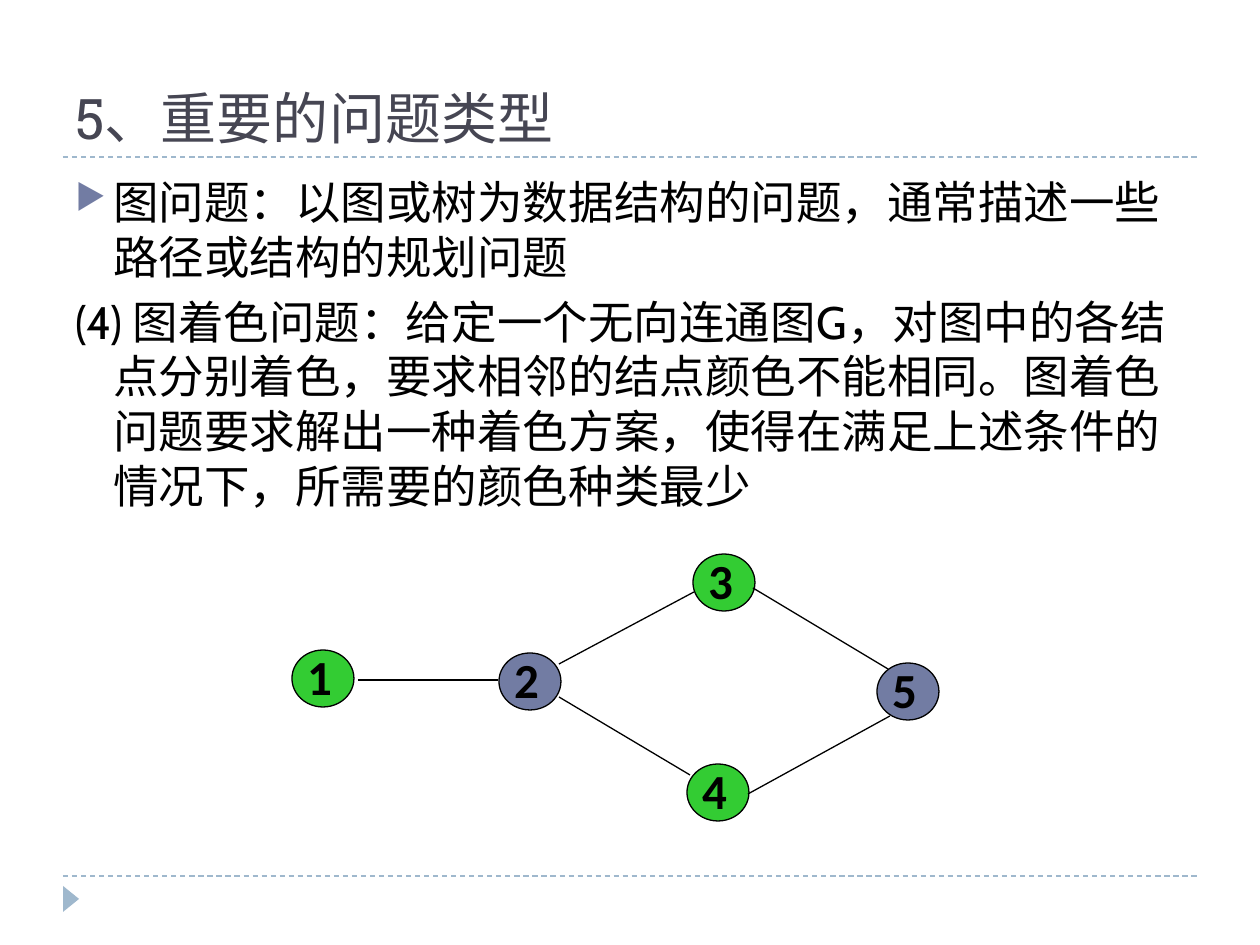
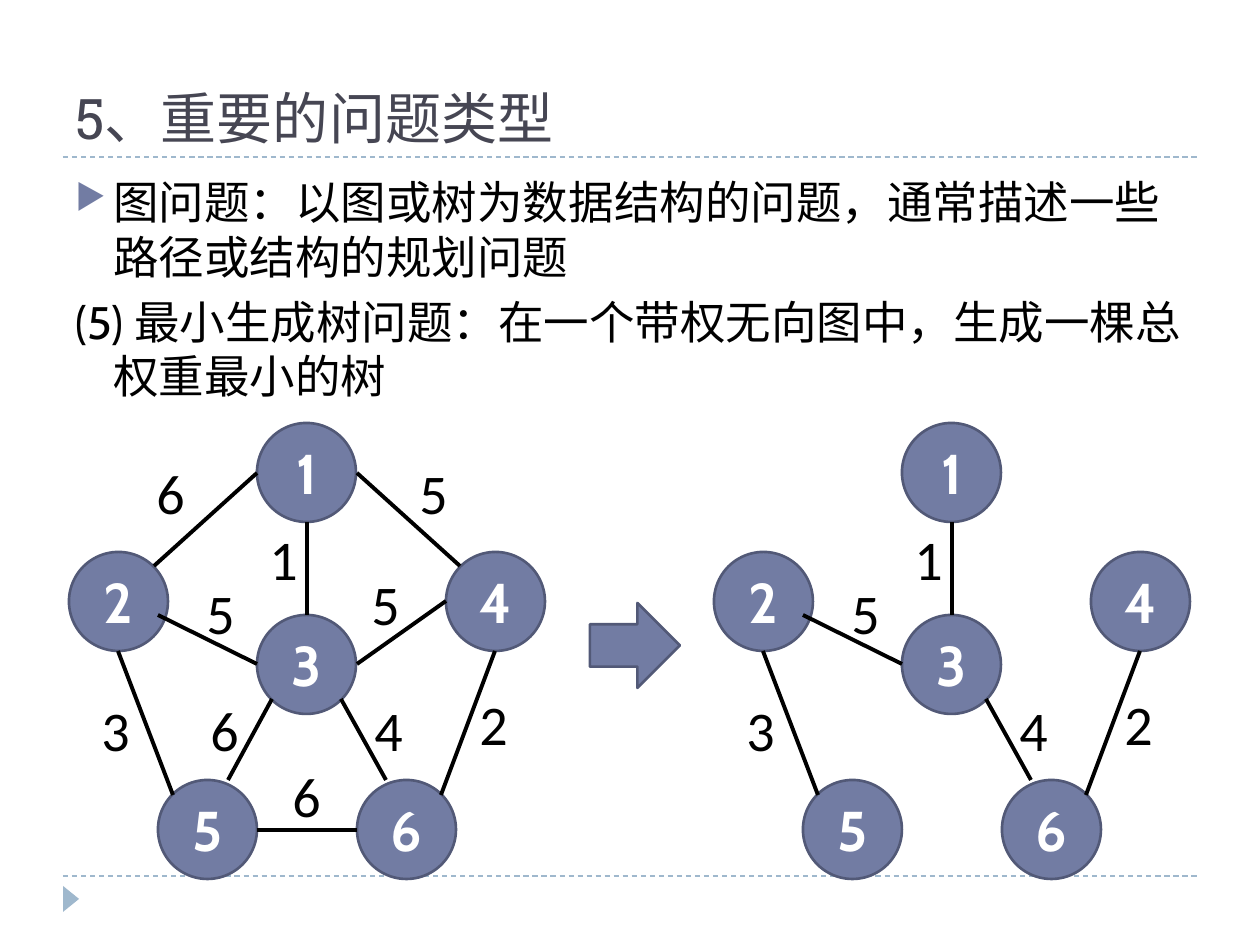
from lxml import etree
from pptx import Presentation
from pptx.dml.color import RGBColor
from pptx.enum.dml import MSO_LINE
from pptx.enum.shapes import MSO_CONNECTOR, MSO_SHAPE
from pptx.enum.text import MSO_ANCHOR, PP_ALIGN
from pptx.oxml.ns import qn
from pptx.util import Pt

PX = 914400 // 126  # EMU in one px
STRAIGHT = MSO_CONNECTOR.STRAIGHT
OVAL, TRIANGLE, RIGHT_ARROW = MSO_SHAPE.OVAL, MSO_SHAPE.ISOSCELES_TRIANGLE, MSO_SHAPE.RIGHT_ARROW
TOP, MIDDLE, BOTTOM = MSO_ANCHOR.TOP, MSO_ANCHOR.MIDDLE, MSO_ANCHOR.BOTTOM
DASH = MSO_LINE.DASH
JUSTIFY, CENTER = PP_ALIGN.JUSTIFY, PP_ALIGN.CENTER

COLORS = {
    "rule": "9FB8CD", "title": "464653", "text": "000000", "white": "FFFFFF",
    "slate": "727CA3", "slate_edge": "525977", "green": "33CC33",
}
RGB = {name: RGBColor.from_string(value) for name, value in COLORS.items()}


def draw_line(shapes, start, end, color, width):
    line = shapes.add_connector(STRAIGHT, *[v * PX for v in (*start, *end)])
    line.line.color.rgb = RGB[color]
    line.line.width = Pt(width)
    etree.SubElement(line._element.spPr, qn("a:effectLst"))
    return line


def draw_shape(shapes, kind, box, fill, edge=None, width=0.75, text="",
               size=32, font="Cabin", color="text", bold=False):
    """Draw a preset shape, or a text box when kind is None."""
    box = [v * PX for v in box]
    if kind is None:
        shape = shapes.add_textbox(*box)
    else:
        shape = shapes.add_shape(kind, *box)
        shape.shadow.inherit = False
        shape.fill.solid()
        shape.fill.fore_color.rgb = RGB[fill]
        if edge:
            shape.line.color.rgb = RGB[edge]
            shape.line.width = Pt(width)
        else:
            shape.line.fill.background()
    if text:
        shape.text_frame.text = text
        for paragraph in shape.text_frame.paragraphs:
            for run in paragraph.runs:
                run.font.size = Pt(size)
                run.font.name = font
                run.font.bold = bold
                run.font.color.rgb = RGB[color]
    return shape


prs = Presentation()
prs.slide_width, prs.slide_height = 1260 * PX, 945 * PX

# Shared frame, title and body
graph_intro = "图问题：以图或树为数据结构的问题，通常描述一些路径或结构的规划问题"
problems = [
    "(4) 图着色问题：给定一个无向连通图G，对图中的各结点分别着色，要求相邻的结点颜色不能相同。"
    "图着色问题要求解出一种着色方案，使得在满足上述条件的情况下，所需要的颜色种类最少",
    "(5) 最小生成树问题：在一个带权无向图中，生成一棵总权重最小的树",
]
for problem in problems:
    slide = prs.slides.add_slide(prs.slide_layouts[6])
    for y in (876, 157):
        draw_line(slide.shapes, (63, y), (1197, y), "rule", 0.75).line.dash_style = DASH
    draw_shape(slide.shapes, TRIANGLE, (58, 891, 26, 16), "rule").rotation = 90

    title = draw_shape(slide.shapes, None, (63, 21, 1134, 136), None,
                       text="5、重要的问题类型", font="Roboto Slab", color="title")
    title.text_frame.word_wrap = True
    title.text_frame.vertical_anchor = BOTTOM

    body = draw_shape(slide.shapes, None, (63, 168, 1134, 680), None,
                      text=graph_intro + "\n" + problem, size=26)
    body.text_frame.word_wrap = True
    intro, description = body.text_frame.paragraphs
    description.space_before = Pt(6)
    for paragraph in (intro, description):
        properties = paragraph._p.get_or_add_pPr()
        properties.set("marL", str(38 * PX))
        properties.set("indent", str(-38 * PX))
    properties = intro._p.get_or_add_pPr()
    bullet_color = etree.SubElement(properties, qn("a:buClr"))
    etree.SubElement(bullet_color, qn("a:srgbClr"), val=COLORS["slate"])
    etree.SubElement(properties, qn("a:buSzPct"), val="76000")
    etree.SubElement(properties, qn("a:buChar"), char="▶")

coloring_slide, tree_slide = prs.slides

# Graph colouring: five nodes in two colours
colored_nodes = [
    (292, 650, "green"), (499, 653, "slate"), (693, 554, "green"),
    (687, 764, "green"), (877, 663, "slate"),
]
colored_edges = [
    ((358, 680), (498, 680)), ((559, 664), (694, 592)), ((559, 697), (690, 775)),
    ((748, 794), (890, 716)), ((888, 669), (753, 588)),
]
graph = coloring_slide.shapes.add_group_shape().shapes
for number, (x, y, fill) in enumerate(colored_nodes, 1):
    node = draw_shape(graph, OVAL, (x, y, 62, 57), fill, "text",
                      text=str(number), size=28, font="Calibri", bold=True)
    frame = node.text_frame
    frame.margin_left = 6 * PX
    frame.margin_top = frame.margin_right = frame.margin_bottom = 0
    frame.vertical_anchor = TOP
    frame.paragraphs[0].alignment = JUSTIFY
    frame.paragraphs[0].line_spacing = 0.8
for start, end in colored_edges:
    draw_line(graph, start, end, "text", 0.75)

# Minimum spanning tree: weighted graph on the left, its tree on the right
tree_nodes = [(257, 423), (69, 552), (257, 615), (446, 552), (158, 780), (357, 780)]
# start, end, weight, place of the weight, whether the tree keeps the edge
weighted_edges = [
    ((154, 566), (257, 473), 6, (144, 452), False),
    ((118, 651), (173, 795), 3, (89, 689), True),
    ((257, 830), (357, 830), 6, (280, 755), False),
    ((441, 795), (495, 651), 2, (467, 683), True),
    ((460, 566), (357, 473), 5, (407, 452), False),
    ((307, 522), (307, 615), 1, (257, 518), True),
    ((158, 615), (257, 664), 5, (194, 572), True),
    ((446, 601), (357, 664), 5, (359, 563), False),
    ((272, 699), (228, 780), 6, (198, 689), False),
    ((341, 699), (386, 780), 4, (362, 689), True),
]
for shift, tree_only in ((0, False), (645, True)):
    graph = tree_slide.shapes.add_group_shape().shapes
    for number, (x, y) in enumerate(tree_nodes, 1):
        node = draw_shape(graph, OVAL, (x + shift, y, 99, 99), "slate", "slate_edge", 1.5,
                          text=str(number), color="white", bold=True)
        node.text_frame.vertical_anchor = MIDDLE
        node.text_frame.paragraphs[0].alignment = CENTER
    for (x1, y1), (x2, y2), weight, (x, y), in_tree in weighted_edges:
        if tree_only and not in_tree:
            continue
        draw_line(graph, (x1 + shift, y1), (x2 + shift, y2), "text", 2.25)
        label = draw_shape(graph, None, (x + shift, y, 53, 81), None,
                           text=str(weight), font="Calibri")
        label.text_frame.word_wrap = False
draw_shape(tree_slide.shapes, RIGHT_ARROW, (590, 603, 90, 85), "slate", "slate_edge", 1.5)

prs.save("out.pptx")
